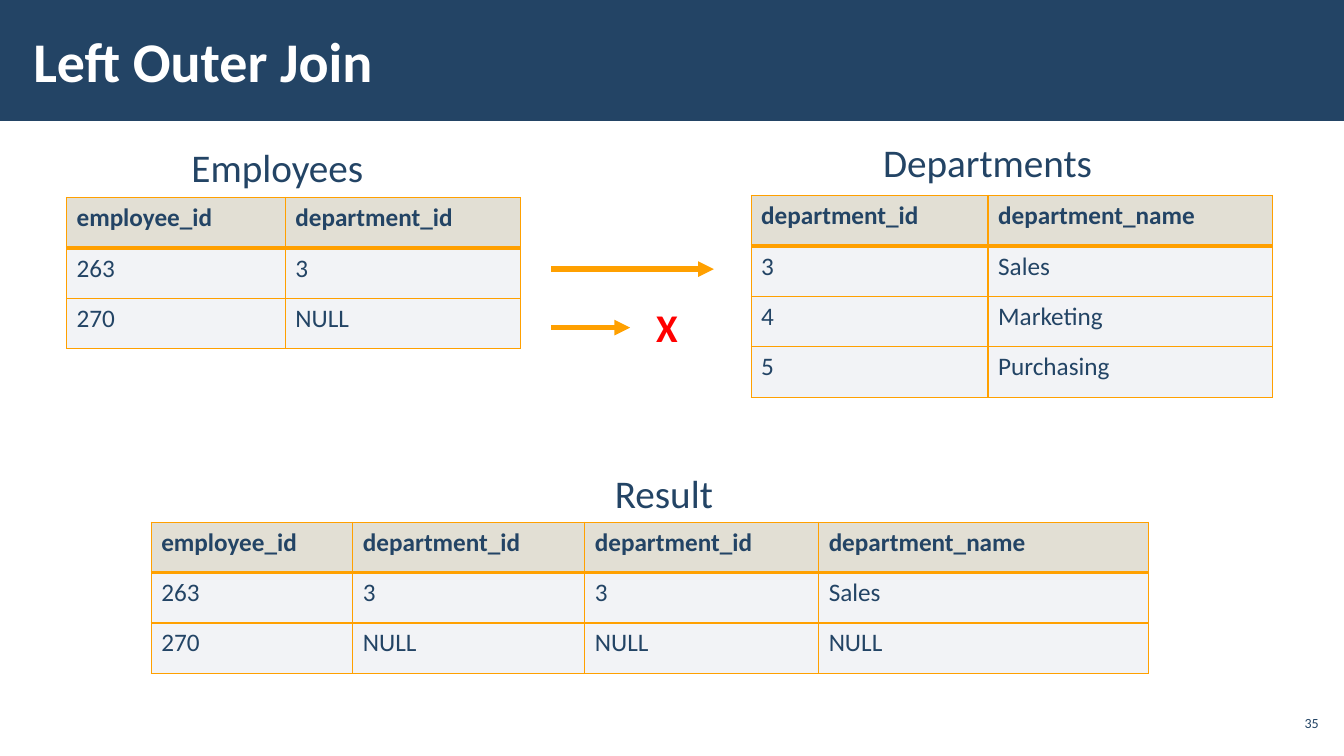
from dataclasses import dataclass

from pptx import Presentation
from pptx.dml.color import RGBColor
from pptx.enum.shapes import MSO_CONNECTOR as Connector, MSO_SHAPE as Shape
from pptx.enum.text import MSO_ANCHOR as Anchor, MSO_AUTO_SIZE as AutoSize, PP_ALIGN as Align
from pptx.oxml import parse_xml
from pptx.oxml.ns import nsdecls
from pptx.oxml.xmlchemy import OxmlElement
from pptx.util import Inches, Pt


@dataclass(frozen=True)
class Theme:
    font: str = "Calibri"
    navy: str = "234465"
    white: str = "FFFFFF"
    orange: str = "FFA000"
    red: str = "FF0000"
    header_fill: str = "C6C0AA"
    body_fill: str = "C2C7D2"
    header_opacity: int = 50
    body_opacity: int = 20
    title_size: int = 40
    heading_size: int = 28
    cell_size: int = 18
    number_size: int = 10
    thin_border: float = 1
    thick_border: float = 3
    arrow_width: float = 3.75


class JoinSlide:
    def __init__(self, presentation, theme):
        self.theme = theme
        self.slide = presentation.slides.add_slide(presentation.slide_layouts[5])
        self.shapes = self.slide.shapes

    def style(self, paragraph, size, color, bold=False):
        font = paragraph.font
        font.name = self.theme.font
        font.size = Pt(size)
        font.bold = bold
        font.color.rgb = RGBColor.from_string(color)

    def title_bar(self, text, width, height):
        theme = self.theme
        bar = self.shapes.add_shape(Shape.RECTANGLE, 0, 0, Inches(width), Inches(height))
        bar.shadow.inherit = False
        bar.fill.solid()
        bar.fill.fore_color.rgb = RGBColor.from_string(theme.navy)
        bar.line.fill.background()
        title = self.shapes.title
        title.element.addprevious(bar.element)
        title.left, title.top = Inches(0.21), Inches(0.11)
        title.width, title.height = Inches(10.39), Inches(0.97)
        frame = title.text_frame
        frame.text = text
        frame.auto_size = AutoSize.NONE
        frame.vertical_anchor = Anchor.MIDDLE
        frame.margin_left = frame.margin_right = Inches(0.12)
        frame.margin_top = frame.margin_bottom = Inches(0.04)
        frame.paragraphs[0].alignment = Align.LEFT
        self.style(frame.paragraphs[0], theme.title_size, theme.white, True)

    def label(self, text, left, top, width, color, bold=False):
        box = self.shapes.add_textbox(Inches(left), Inches(top), Inches(width), Inches(0.57))
        frame = box.text_frame
        frame.text = text
        frame.word_wrap = False
        frame.auto_size = AutoSize.SHAPE_TO_FIT_TEXT
        self.style(frame.paragraphs[0], self.theme.heading_size, color, bold)

    def slide_number(self, text):
        box = self.shapes.add_textbox(Inches(12.65), Inches(7), Inches(0.47), Inches(0.34))
        frame = box.text_frame
        frame.text = text
        frame.word_wrap = True
        frame.vertical_anchor = Anchor.MIDDLE
        frame.margin_left = frame.margin_right = Inches(0.04)
        frame.margin_top = frame.margin_bottom = Inches(0.04)
        frame.paragraphs[0].alignment = Align.RIGHT
        self.style(frame.paragraphs[0], self.theme.number_size, self.theme.navy)

    def arrow(self, start, end, y):
        line = self.shapes.add_connector(
            Connector.STRAIGHT, Inches(start), Inches(y), Inches(end), Inches(y)
        )
        line.line.color.rgb = RGBColor.from_string(self.theme.orange)
        line.line.width = Pt(self.theme.arrow_width)
        head = OxmlElement("a:tailEnd")
        head.set("type", "triangle")
        line.line._get_or_add_ln().append(head)
        line.element.spPr.append(OxmlElement("a:effectLst"))

    def cell_border(self, cell, side, width):
        cell._tc.get_or_add_tcPr().append(parse_xml(
            f'<a:ln{side} {nsdecls("a")} w="{Pt(width)}"><a:solidFill>'
            f'<a:srgbClr val="{self.theme.orange}"/></a:solidFill></a:ln{side}>'
        ))

    def cell_fill(self, cell, color, opacity):
        cell.fill.solid()
        cell.fill.fore_color.rgb = RGBColor.from_string(color)
        alpha = OxmlElement("a:alpha")
        alpha.set("val", str(opacity * 1000))
        cell._tc.tcPr.find(".//{*}solidFill[last()]")
        cell._tc.tcPr[-1][0].append(alpha)

    def table(self, left, top, widths, rows, row_height=0.5):
        theme = self.theme
        frame = self.shapes.add_table(
            len(rows), len(widths), Inches(left), Inches(top),
            Inches(sum(widths)), Inches(row_height * len(rows)),
        )
        table = frame.table
        for column, width in zip(table.columns, widths):
            column.width = Inches(width)
        for row_index, values in enumerate(rows):
            header = row_index == 0
            table.rows[row_index].height = Inches(row_height)
            borders = {
                "L": theme.thin_border,
                "R": theme.thin_border,
                "T": theme.thick_border if row_index == 1 else theme.thin_border,
                "B": theme.thick_border if header else theme.thin_border,
            }
            for column_index, value in enumerate(values):
                cell = table.cell(row_index, column_index)
                cell.text = value
                self.style(cell.text_frame.paragraphs[0], theme.cell_size, theme.navy, header)
                for side, width in borders.items():
                    self.cell_border(cell, side, width)
                if header:
                    self.cell_fill(cell, theme.header_fill, theme.header_opacity)
                else:
                    self.cell_fill(cell, theme.body_fill, theme.body_opacity)


def main():
    presentation = Presentation()
    presentation.slide_width = Inches(13.33)
    presentation.slide_height = Inches(7.5)
    theme = Theme()
    slide = JoinSlide(presentation, theme)

    slide.title_bar("Left Outer Join", 13.33, 1.2)
    slide.slide_number("35")

    slide.label("Employees", 1.8, 1.37, 1.92, theme.navy)
    slide.table(0.66, 1.96, [2.17, 2.33], [
        ["employee_id", "department_id"],
        ["263", "3"],
        ["270", "NULL"],
    ])

    slide.label("Departments", 8.66, 1.32, 2.3, theme.navy)
    slide.table(7.45, 1.94, [2.35, 2.82], [
        ["department_id", "department_name"],
        ["3", "Sales"],
        ["4", "Marketing"],
        ["5", "Purchasing"],
    ])

    slide.arrow(5.47, 7.08, 2.67)
    slide.arrow(5.47, 6.25, 3.25)
    slide.label("X", 6.41, 2.96, 0.42, theme.red, True)

    slide.label("Result", 6, 4.61, 1.19, theme.navy)
    slide.table(1.5, 5.18, [2, 2.3, 2.32, 3.27], [
        ["employee_id", "department_id", "department_id", "department_name"],
        ["263", "3", "3", "Sales"],
        ["270", "NULL", "NULL", "NULL"],
    ])

    presentation.save("out.pptx")


if __name__ == "__main__":
    main()
